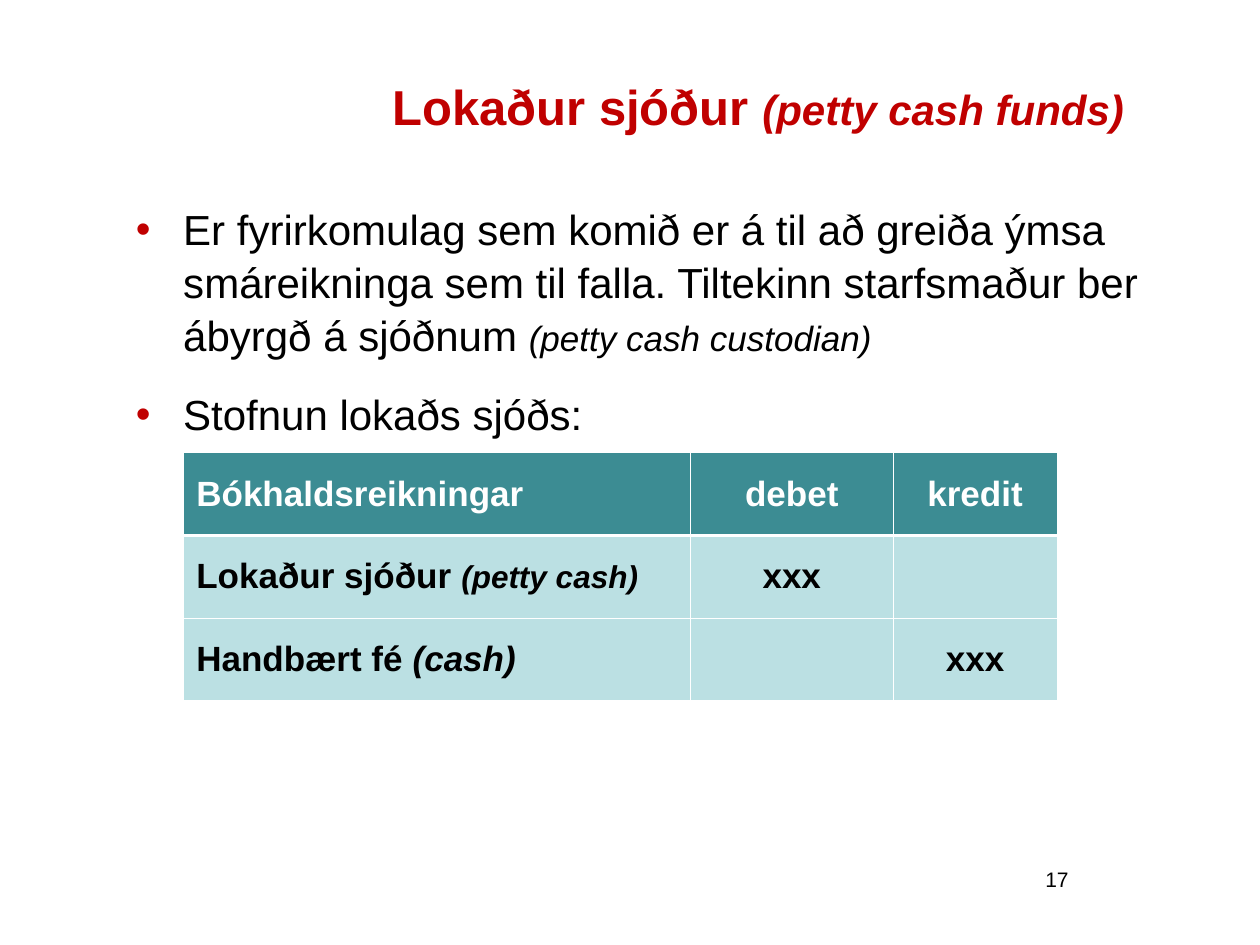
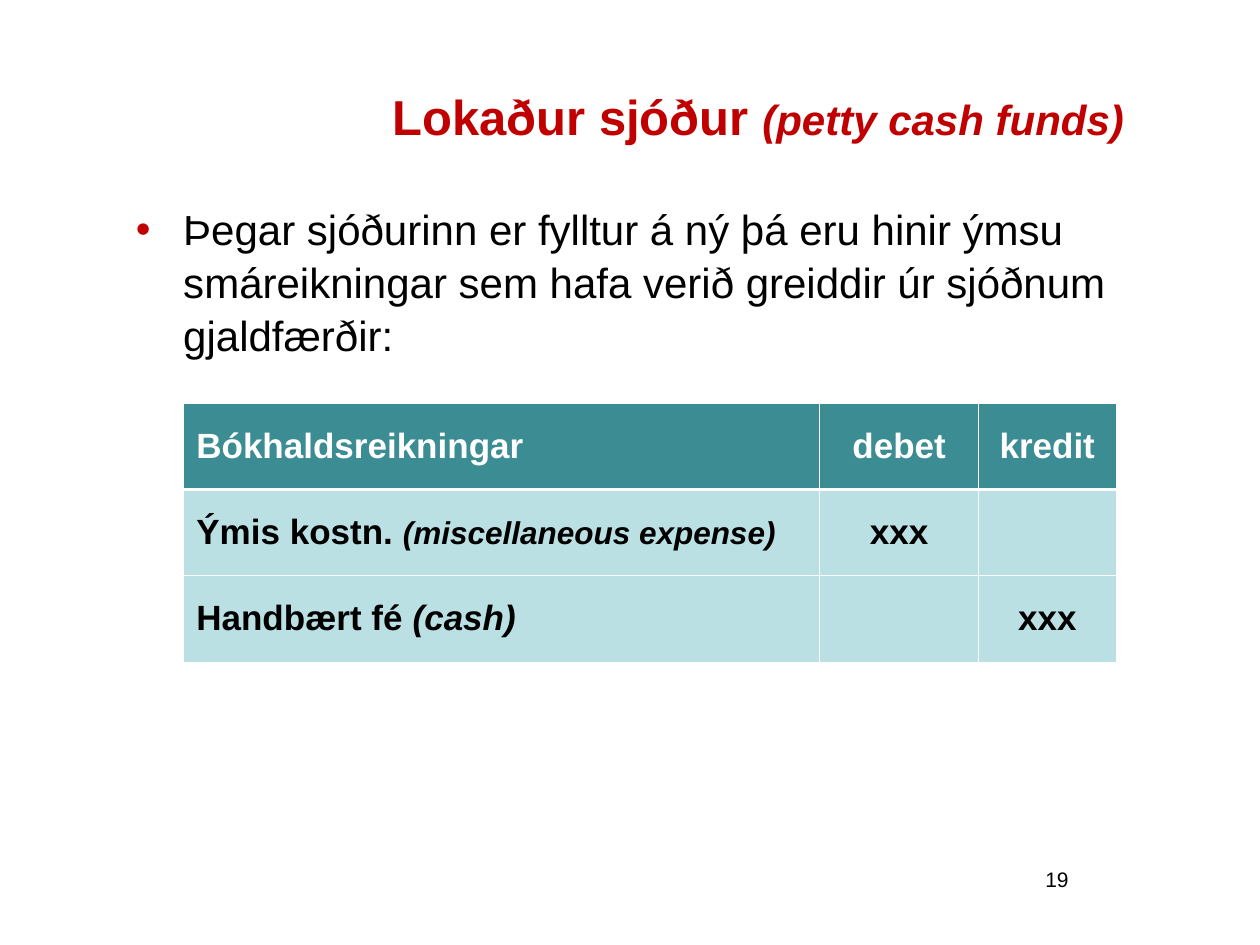
from lxml import etree
from pptx import Presentation
from pptx.dml.color import RGBColor
from pptx.enum.text import MSO_ANCHOR, MSO_AUTO_SIZE, PP_ALIGN
from pptx.oxml.ns import qn
from pptx.util import Pt

LEFT, CENTER, RIGHT = PP_ALIGN.LEFT, PP_ALIGN.CENTER, PP_ALIGN.RIGHT
MIDDLE, TOP = MSO_ANCHOR.MIDDLE, MSO_ANCHOR.TOP
NO_AUTOFIT = MSO_AUTO_SIZE.NONE

RED = RGBColor(0xC0, 0x00, 0x00)
BLACK = RGBColor(0x00, 0x00, 0x00)
WHITE = RGBColor(0xFF, 0xFF, 0xFF)
TEAL = RGBColor(0x3C, 0x8C, 0x93)
PALE_TEAL = RGBColor(0xBB, 0xE0, 0xE3)

FONT = "Arial"
BULLET_INDENT = Pt(27)
THIN, THICK = Pt(0.45), Pt(1.47)


class Deck:
    """Holds the shared style and the slide being built."""

    def __init__(self):
        self.presentation = Presentation()
        self.presentation.slide_width = Pt(720)
        self.presentation.slide_height = Pt(540)
        self.slide = None

    def new_slide(self, number):
        layout = self.presentation.slide_layouts[1]
        self.slide = self.presentation.slides.add_slide(layout)
        self.page_number(number)

    def place(self, shape, left, top, width, height, anchor):
        shape.left, shape.top = Pt(left), Pt(top)
        shape.width, shape.height = Pt(width), Pt(height)
        frame = shape.text_frame
        frame.word_wrap = True
        frame.auto_size = NO_AUTOFIT
        frame.vertical_anchor = anchor
        return frame

    def set_text(self, paragraph, runs, color, align=LEFT, bold=False):
        """Fill a paragraph from (text, size) or (text, size, italic) runs."""
        paragraph.alignment = align
        font = paragraph.font
        font.name, font.bold, font.color.rgb = FONT, bold, color
        for text, size, *italic in runs:
            run = paragraph.add_run()
            run.text = text
            run.font.size = Pt(size)
            run.font.italic = bool(italic)

    def title(self, top, runs):
        frame = self.place(self.slide.shapes.title, 82, top, 567.5, 34, MIDDLE)
        self.set_text(frame.paragraphs[0], runs, RED, RIGHT, bold=True)

    def bullets(self, items):
        body = self.slide.placeholders[1]
        frame = self.place(body, 70.5, 111.5, 589.5, 317.5, TOP)
        for index, runs in enumerate(items):
            paragraph = frame.add_paragraph() if index else frame.paragraphs[0]
            paragraph.line_spacing = 1.05
            paragraph.space_before = Pt(15 if index else 0)
            self.add_bullet(paragraph)
            self.set_text(paragraph, runs, BLACK)

    def add_bullet(self, paragraph):
        properties = paragraph._p.get_or_add_pPr()
        properties.set("marL", str(BULLET_INDENT))
        properties.set("indent", str(-BULLET_INDENT))
        bullet_color = etree.SubElement(properties, qn("a:buClr"))
        etree.SubElement(bullet_color, qn("a:srgbClr"), val=str(RED))
        etree.SubElement(properties, qn("a:buFont"), typeface=FONT)
        etree.SubElement(properties, qn("a:buChar"), char="•")

    def page_number(self, number):
        box = self.slide.shapes.add_textbox(0, 0, 0, 0)
        frame = self.place(box, 468, 491.75, 149.75, 36, TOP)
        self.set_text(frame.paragraphs[0], [(str(number), 12)], BLACK, RIGHT)

    def journal_table(self, top, column_widths, row_height, debit_account):
        """Journal entry: one account debited, cash credited."""
        rows = [
            [[("Bókhaldsreikningar", 20)], [("debet", 20)], [("kredit", 20)]],
            [debit_account, [("xxx", 20)], []],
            [[("Handbært fé ", 20), ("(cash)", 20, True)], [], [("xxx", 20)]],
        ]
        table = self.slide.shapes.add_table(
            len(rows), len(column_widths), Pt(105), Pt(top),
            Pt(sum(column_widths)), Pt(row_height * len(rows))).table
        table.horz_banding = False
        for column, width in zip(table.columns, column_widths):
            column.width = Pt(width)
        for row_index, row in enumerate(rows):
            table.rows[row_index].height = Pt(row_height)
            for column_index, runs in enumerate(row):
                cell = table.cell(row_index, column_index)
                self.format_cell(cell, row_index)
                self.set_text(cell.text_frame.paragraphs[0], runs,
                              BLACK if row_index else WHITE,
                              CENTER if column_index else LEFT, bold=True)

    def format_cell(self, cell, row_index):
        cell.vertical_anchor = MIDDLE
        # Borders come before the fill; the line under the header is heavier
        borders = {"L": THIN, "R": THIN,
                   "T": THICK if row_index == 1 else THIN,
                   "B": THICK if row_index == 0 else THIN}
        properties = cell._tc.get_or_add_tcPr()
        for side, width in borders.items():
            line = etree.SubElement(properties, qn(f"a:ln{side}"), w=str(width))
            fill = etree.SubElement(line, qn("a:solidFill"))
            etree.SubElement(fill, qn("a:srgbClr"), val=str(WHITE))
        cell.fill.solid()
        cell.fill.fore_color.rgb = PALE_TEAL if row_index else TEAL


def main():
    deck = Deck()
    heading = [("Lokaður sjóður ", 28), ("(petty cash funds)", 24, True)]

    # Setting up the fund
    deck.new_slide(17)
    deck.title(43.25, heading)
    deck.bullets([
        [("Er fyrirkomulag sem komið er á til að greiða ýmsa smáreikninga "
          "sem til falla. Tiltekinn starfsmaður ber ábyrgð á sjóðnum ", 24),
         ("(petty cash custodian)", 20, True)],
        [("Stofnun lokaðs sjóðs:", 24)],
    ])
    deck.journal_table(258.75, [289.5, 116, 93.5], 47.25,
                       [("Lokaður sjóður ", 20), ("(petty cash)", 18, True)])

    # Replenishing the fund
    deck.new_slide(19)
    deck.title(49, heading)
    deck.bullets([
        [("Þegar sjóðurinn er fylltur á ný þá eru hinir ýmsu smáreikningar "
          "sem hafa verið greiddir úr sjóðnum gjaldfærðir:", 24)],
    ])
    deck.journal_table(230.5, [363.5, 90.75, 78.5], 49.25,
                       [("Ýmis kostn. ", 20),
                        ("(miscellaneous expense)", 18, True)])

    deck.presentation.save("out.pptx")


if __name__ == "__main__":
    main()
